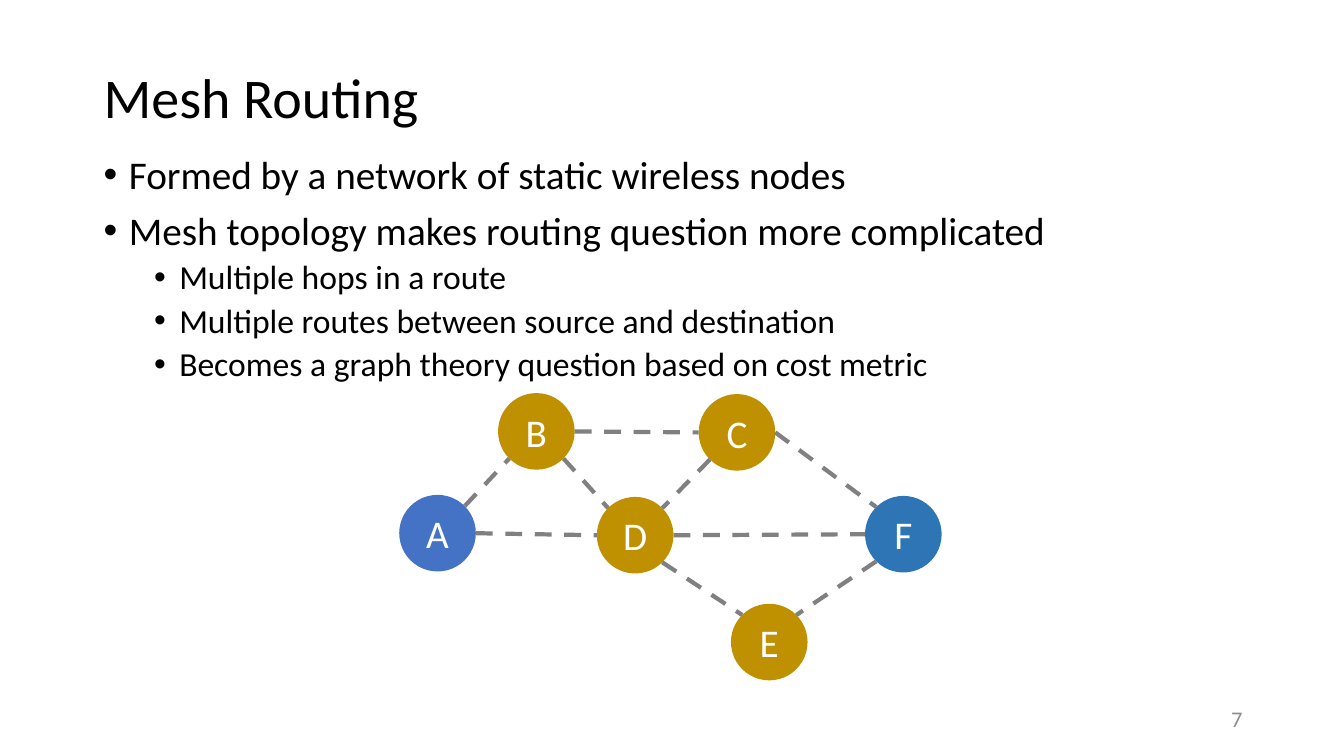
from math import cos, radians, sin

from lxml.etree import SubElement
from pptx import Presentation
from pptx.dml.color import RGBColor
from pptx.enum.dml import MSO_LINE_DASH_STYLE as DASH
from pptx.enum.shapes import MSO_CONNECTOR, MSO_SHAPE
from pptx.enum.text import MSO_ANCHOR, PP_ALIGN
from pptx.oxml.ns import qn
from pptx.util import Inches, Pt

COLORS = {"text": "000000", "number": "8C8C8C", "label": "FFFFFF", "link": "808080",
          "source": "4472C4", "relay": "BF9000", "target": "2E75B6"}
FONT = "Calibri"
DIAMETER = 0.76

BULLETS = [
    (0, "Formed by a network of static wireless nodes"),
    (0, "Mesh topology makes routing question more complicated"),
    (1, "Multiple hops in a route"),
    (1, "Multiple routes between source and destination"),
    (1, "Becomes a graph theory question based on cost metric"),
]
NODES = {
    "A": (3.96, 4.91, "source"),
    "B": (4.94, 3.9, "relay"),
    "C": (6.93, 3.91, "relay"),
    "D": (5.92, 4.93, "relay"),
    "E": (7.25, 5.99, "relay"),
    "F": (8.58, 4.92, "target"),
}
ANGLES = {"right": 0, "lower right": 45, "lower left": 135,
          "left": 180, "upper left": 225, "upper right": 315}
LINKS = [
    ("A", "upper right", "B", "lower left"),
    ("B", "right", "C", "left"),
    ("B", "lower right", "D", "upper left"),
    ("C", "lower left", "D", "upper right"),
    ("C", "right", "F", "upper left"),
    ("D", "right", "F", "left"),
    ("D", "lower right", "E", "upper left"),
    ("F", "lower left", "E", "upper right"),
    ("A", "right", "D", "left"),
]


def rgb(name):
    """Return the named colour."""
    return RGBColor.from_string(COLORS[name])


def add_run(p, text, size, color):
    """Add a formatted run to a paragraph."""
    r = p.add_run()
    r.text = text
    r.font.name = FONT
    r.font.size = Pt(size)
    r.font.color.rgb = rgb(color)


def add_text_box(s, left, top, width, height, anchor):
    """Add a wrapping text box and return its text frame."""
    box = s.shapes.add_textbox(Inches(left), Inches(top), Inches(width), Inches(height))
    tf = box.text_frame
    tf.word_wrap = True
    tf.vertical_anchor = anchor
    return tf


def add_line(s, text, size, color, box, align):
    """Add a text box holding one middle-anchored line."""
    p = add_text_box(s, *box, MSO_ANCHOR.MIDDLE).paragraphs[0]
    p.alignment = align
    p.line_spacing = 0.9
    add_run(p, text, size, color)


def add_bullets(s, items, box):
    """Add a two-level bulleted list."""
    tf = add_text_box(s, *box, MSO_ANCHOR.TOP)
    for i, (level, text) in enumerate(items):
        p = tf.add_paragraph() if i else tf.paragraphs[0]
        p.level = level
        p.line_spacing = 0.9
        p.space_before = Pt((5 if level else 10) if i else 0)
        pPr = p._p.get_or_add_pPr()
        pPr.set("marL", str(Inches(0.25 + 0.5 * level)))
        pPr.set("indent", str(Inches(-0.25)))
        SubElement(pPr, qn("a:buFont")).set("typeface", "Arial")
        SubElement(pPr, qn("a:buChar")).set("char", "•")
        add_run(p, text, 24 if level else 28, "text")


def add_node(s, label, left, top, color):
    """Add a labelled circle for a mesh node."""
    sp = s.shapes.add_shape(MSO_SHAPE.OVAL, Inches(left), Inches(top),
                            Inches(DIAMETER), Inches(DIAMETER))
    sp.shadow.inherit = False
    sp.fill.solid()
    sp.fill.fore_color.rgb = rgb(color)
    sp.line.fill.background()
    tf = sp.text_frame
    tf.vertical_anchor = MSO_ANCHOR.MIDDLE
    p = tf.paragraphs[0]
    p.alignment = PP_ALIGN.CENTER
    add_run(p, label, 28, "label")


def rim_point(node, side):
    """Return the point on a node's rim at the given side."""
    left, top, _ = NODES[node]
    radius = DIAMETER / 2
    angle = radians(ANGLES[side])
    return (Inches(left + radius * (1 + cos(angle))),
            Inches(top + radius * (1 + sin(angle))))


def add_link(s, start, start_side, end, end_side):
    """Add a dashed link between two nodes."""
    line = s.shapes.add_connector(MSO_CONNECTOR.STRAIGHT, *rim_point(start, start_side),
                                  *rim_point(end, end_side))
    line.line.color.rgb = rgb("link")
    line.line.width = Pt(3)
    line.line.dash_style = DASH.DASH
    SubElement(line._element.spPr, qn("a:effectLst"))


def main():
    """Build the mesh routing slide."""
    prs = Presentation()
    prs.slide_width, prs.slide_height = Inches(13.33), Inches(7.5)
    s = prs.slides.add_slide(prs.slide_layouts[6])
    add_line(s, "Mesh Routing", 40, "text", (0.93, 0.27, 11.5, 1.45), PP_ALIGN.LEFT)
    add_bullets(s, BULLETS, (0.93, 1.49, 11.5, 4.76))
    add_line(s, "7", 16, "number", (9.42, 6.95, 3, 0.4), PP_ALIGN.RIGHT)
    for label, node in NODES.items():
        add_node(s, label, *node)
    for link in LINKS:
        add_link(s, *link)
    prs.save("out.pptx")


if __name__ == "__main__":
    main()
